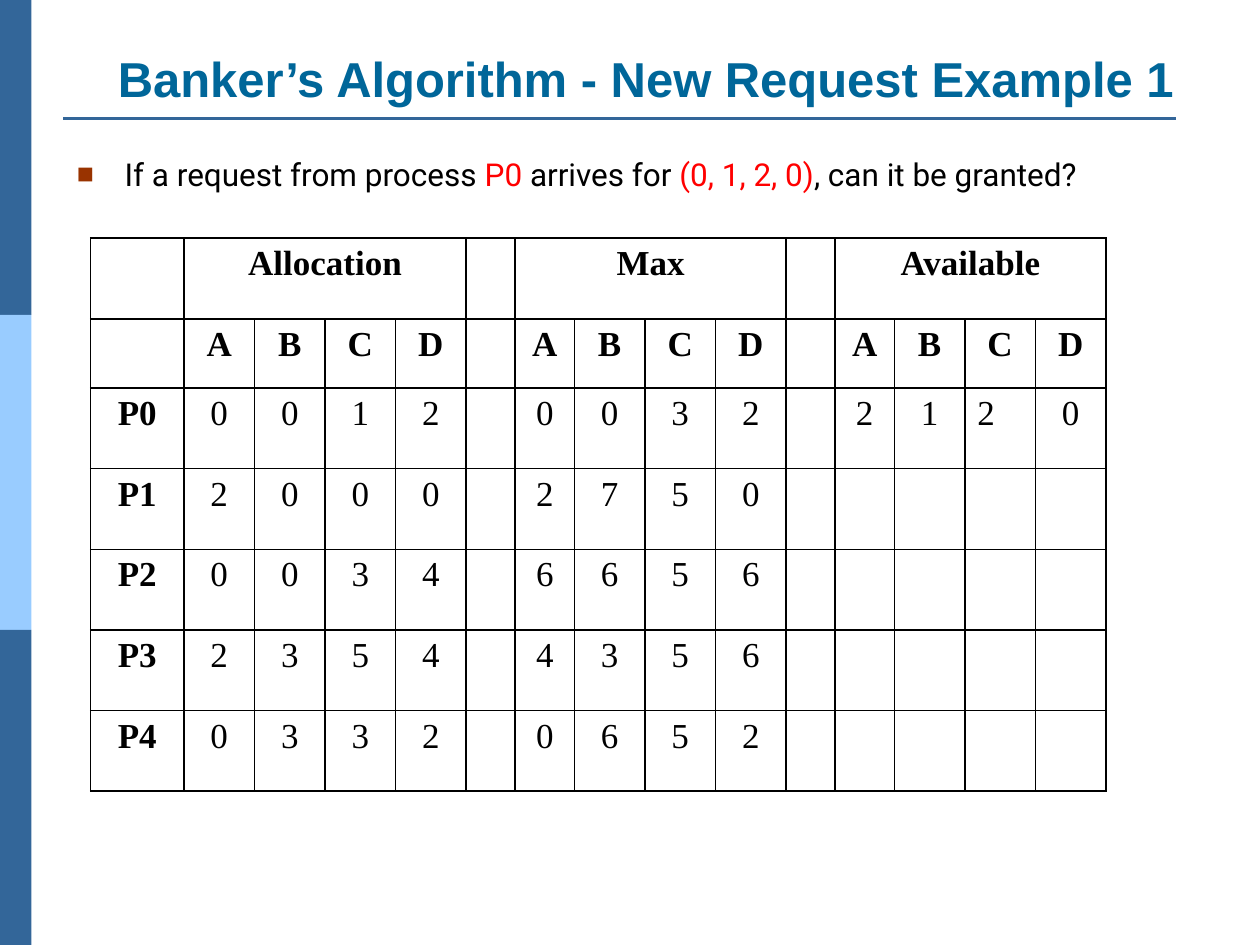
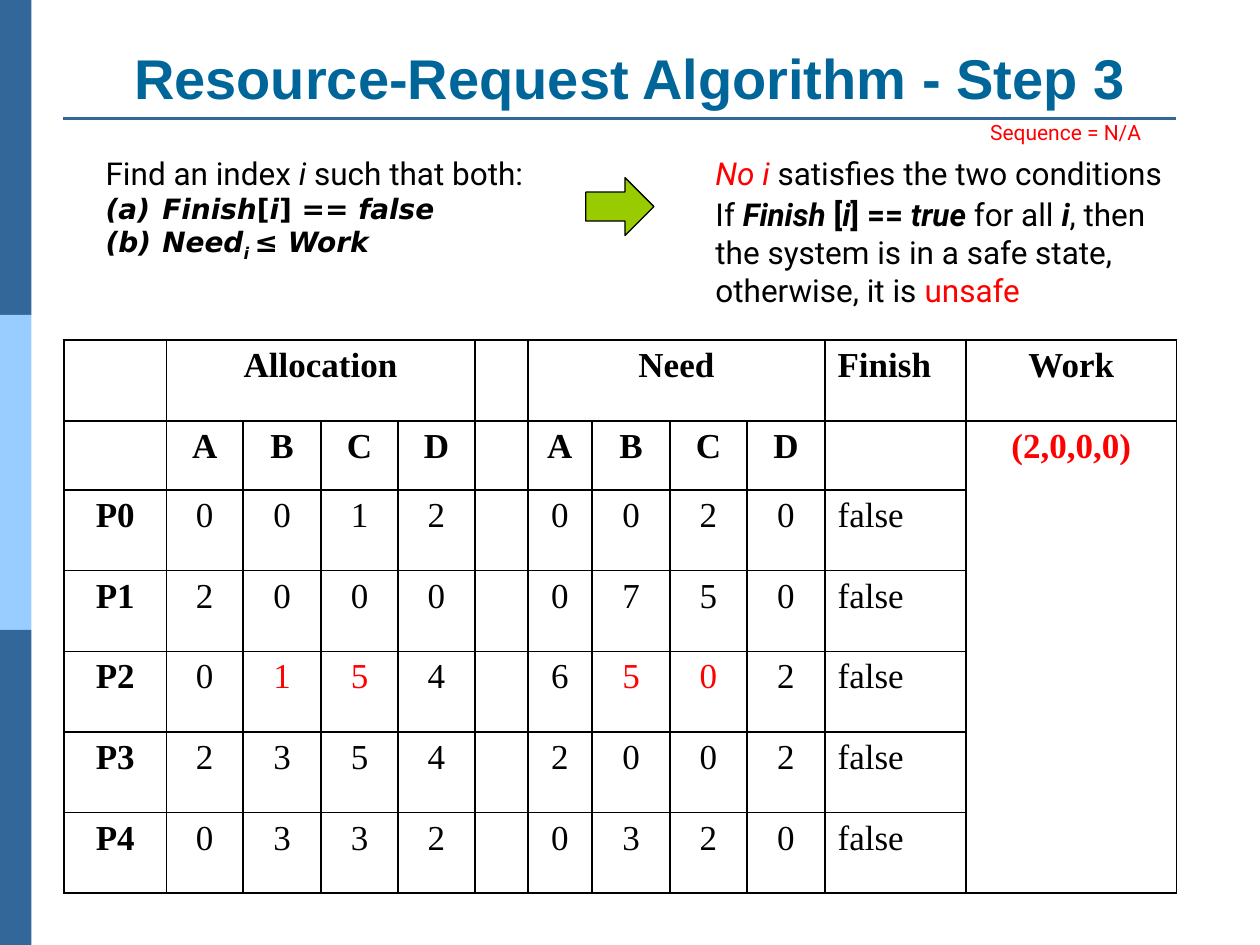
from lxml import etree
from pptx import Presentation
from pptx.dml.color import RGBColor
from pptx.enum.shapes import MSO_CONNECTOR, MSO_SHAPE
from pptx.enum.text import MSO_ANCHOR, MSO_AUTO_SIZE, PP_ALIGN
from pptx.oxml.ns import qn
from pptx.util import Inches, Pt

STRAIGHT = MSO_CONNECTOR.STRAIGHT
RECTANGLE, RIGHT_ARROW = MSO_SHAPE.RECTANGLE, MSO_SHAPE.RIGHT_ARROW
TOP, BOTTOM = MSO_ANCHOR.TOP, MSO_ANCHOR.BOTTOM
NO_AUTOFIT = MSO_AUTO_SIZE.NONE
LEFT, CENTER = PP_ALIGN.LEFT, PP_ALIGN.CENTER

BLACK = RGBColor(0, 0, 0)
RED = RGBColor(0xFF, 0, 0)
STEEL_BLUE = RGBColor(0x33, 0x66, 0x99)
SKY_BLUE = RGBColor(0x99, 0xCC, 0xFF)
TITLE_BLUE = RGBColor(0, 0x66, 0x99)
ARROW_GREEN = RGBColor(0x99, 0xCC, 0)
BULLET_BROWN = "993300"

TITLE_FONT = dict(name="Arial", bold=True, color=TITLE_BLUE)
BODY_FONT = dict(name="Roboto", size=Pt(18), color=BLACK)
CONDITION_FONT = dict(name="DejaVu Sans", size=Pt(16), bold=True, color=BLACK)
NOTE_FONT = dict(name="Roboto", size=Pt(12), color=RED)
CELL_FONT = dict(name="Times New Roman", size=Pt(20), color=BLACK)
ITALIC = dict(italic=True)
BOLD = dict(bold=True)
BOLD_ITALIC = dict(bold=True, italic=True)
IN_RED = dict(color=RED)
SUBSCRIPT = dict(italic=True, baseline="-25000")

BAND_WIDTH, BAND_HEIGHT = 0.25, 2.5
ROW_HEIGHTS = [0.64, 0.55] + [0.64] * 5
RESOURCES = list("ABCD")
UNKNOWN = [""] * 4


def inches(values):
    return [Inches(value) for value in values]


def add_run(paragraph, text, *formats):
    """Add text whose later format dicts override the earlier ones."""
    values = {}
    for format_values in formats:
        values.update(format_values)
    run = paragraph.add_run()
    run.text = text
    for key, value in values.items():
        if key == "color":
            run.font.color.rgb = value
        elif key == "baseline":
            run._r.get_or_add_rPr().set(key, value)
        else:
            setattr(run.font, key, value)


def fill_paragraph(paragraph, runs, base):
    for text, *formats in runs:
        add_run(paragraph, text, base, *formats)


def add_bullet(paragraph, indent, *marks):
    """Hang the paragraph and append bullet elements, given as (tag, attributes)."""
    properties = paragraph._p.get_or_add_pPr()
    properties.set("marL", str(Inches(indent)))
    properties.set("indent", str(-Inches(indent)))
    for tag, attributes in marks:
        etree.SubElement(properties, qn(tag), attributes)
    return properties


def place(shape, at):
    shape.left, shape.top, shape.width, shape.height = inches(at)


def add_side_bands(slide):
    for index, color in enumerate([STEEL_BLUE, SKY_BLUE, STEEL_BLUE]):
        band = slide.shapes.add_shape(
            RECTANGLE, *inches([0, index * BAND_HEIGHT, BAND_WIDTH, BAND_HEIGHT]))
        band.shadow.inherit = False
        band.fill.solid()
        band.fill.fore_color.rgb = color
        band.line.fill.background()


def add_title_rule(slide):
    rule = slide.shapes.add_connector(STRAIGHT, *inches([0.5, 0.94, 9.33, 0.94]))
    rule.line.color.rgb = STEEL_BLUE
    rule.line.width = Pt(1.5)
    etree.SubElement(rule._element.spPr, qn("a:effectLst"))


def add_titled_slide(deck, layout, title, at, size):
    slide = deck.slides.add_slide(deck.slide_layouts.get_by_name(layout))
    add_side_bands(slide)
    add_title_rule(slide)
    heading = slide.shapes.title
    place(heading, at)
    frame = heading.text_frame
    frame.auto_size = NO_AUTOFIT
    frame.vertical_anchor = BOTTOM
    frame.paragraphs[0].alignment = CENTER
    add_run(frame.paragraphs[0], title, TITLE_FONT, dict(size=Pt(size)))
    return slide


def add_text(slide, at, runs, base=BODY_FONT, wrap=True):
    frame = slide.shapes.add_textbox(*inches(at)).text_frame
    frame.word_wrap = wrap
    fill_paragraph(frame.paragraphs[0], runs, base)
    return frame


def fill_question(slide, at, runs):
    question = slide.placeholders[1]
    place(question, at)
    frame = question.text_frame
    frame.auto_size = NO_AUTOFIT
    frame.vertical_anchor = TOP
    paragraph = frame.paragraphs[0]
    paragraph.space_before = Pt(0)
    properties = add_bullet(paragraph, 0.38, ("a:buClr", {}),
                            ("a:buSzPct", dict(val="90000")),
                            ("a:buChar", dict(char="■")))
    etree.SubElement(properties.find(qn("a:buClr")), qn("a:srgbClr"), val=BULLET_BROWN)
    fill_paragraph(paragraph, runs, BODY_FONT)


def add_conditions(frame, conditions):
    for runs in conditions:
        paragraph = frame.add_paragraph()
        add_bullet(paragraph, 0.45, ("a:buFont", dict(typeface="+mj-lt")),
                   ("a:buAutoNum", dict(type="alphaLcParenBoth")))
        fill_paragraph(paragraph, runs, CONDITION_FONT)


def draw_borders(cell):
    properties = cell._tc.get_or_add_tcPr()
    for side in ("a:lnL", "a:lnR", "a:lnT", "a:lnB"):
        border = etree.SubElement(properties, qn(side), w=str(Pt(1)))
        solid = etree.SubElement(border, qn("a:solidFill"))
        etree.SubElement(solid, qn("a:srgbClr"), val=str(BLACK))


def add_state_table(slide, left, top, widths, rows, merges, left_cells=(), red_cells=()):
    """Draw the process state; merges are (row, column, last row, last column)."""
    frame = slide.shapes.add_table(
        len(rows), len(widths),
        *inches([left, top, sum(widths), sum(ROW_HEIGHTS)]))
    table = frame.table
    table.first_row = table.horz_banding = False
    for column, width in zip(table.columns, widths):
        column.width = Inches(width)
    for row, height in zip(table.rows, ROW_HEIGHTS):
        row.height = Inches(height)
    for r, values in enumerate(rows):
        for c, value in enumerate(values):
            cell = table.cell(r, c)
            draw_borders(cell)
            cell.fill.background()
            if not value:
                continue
            paragraph = cell.text_frame.paragraphs[0]
            paragraph.alignment = LEFT if (r, c) in left_cells else CENTER
            add_run(paragraph, value, CELL_FONT, dict(bold=r < 2 or c == 0),
                    IN_RED if (r, c) in red_cells else {})
    for r, c, last_r, last_c in merges:
        table.cell(r, c).merge(table.cell(last_r, last_c))


def add_step_arrow(slide, at):
    arrow = slide.shapes.add_shape(RIGHT_ARROW, *inches(at))
    arrow.shadow.inherit = False
    arrow.fill.solid()
    arrow.fill.fore_color.rgb = ARROW_GREEN
    arrow.line.color.rgb = BLACK
    arrow.line.width = Pt(0.75)


def build_request_slide(deck):
    slide = add_titled_slide(deck, "Title and Content",
                             "Banker’s Algorithm - New Request Example 1",
                             [0.51, 0.17, 9.23, 0.73], 28)
    fill_question(slide, [0.51, 1.18, 9.44, 0.5], [
        ("If a request from process ",), ("P0 ", IN_RED), ("arrives for ",),
        ("(0, 1, 2, 0)", IN_RED), (", can it be granted?",)])
    quad = [0.47] + [0.56] * 3
    rows = [
        ["", "Allocation", "", "", "", "", "Max", "", "", "", "", "Available", "", "", ""],
        ["", *RESOURCES, "", *RESOURCES, "", *RESOURCES],
        ["P0", *"0012", "", *"0032", "", *"2120"],
        ["P1", *"2000", "", *"2750", "", *UNKNOWN],
        ["P2", *"0034", "", *"6656", "", *UNKNOWN],
        ["P3", *"2354", "", *"4356", "", *UNKNOWN],
        ["P4", *"0332", "", *"0652", "", *UNKNOWN],
    ]
    add_state_table(slide, 0.72, 1.89,
                    [0.74] + [0.56] * 4 + [0.39] + quad + [0.39] + quad, rows,
                    merges=[(0, c, 0, c + 3) for c in (1, 6, 11)],
                    left_cells=[(2, 13)])


def build_step_slide(deck):
    slide = add_titled_slide(deck, "Title Only", "Resource-Request Algorithm - Step 3",
                             [0.5, 0.3, 9, 0.63], 32)
    rows = [
        ["", "Allocation", "", "", "", "", "Need", "", "", "", "Finish", "Work"],
        ["", *RESOURCES, "", *RESOURCES, "", "(2,0,0,0)"],
        ["P0", *"0012", "", *"0020", "false", ""],
        ["P1", *"2000", "", *"0750", "false", ""],
        ["P2", *"0154", "", *"6502", "false", ""],
        ["P3", *"2354", "", *"2002", "false", ""],
        ["P4", *"0332", "", *"0320", "false", ""],
    ]
    add_state_table(slide, 0.51, 2.7,
                    [0.81, 0.61, 0.62, 0.61, 0.61, 0.42, 0.51, 0.62, 0.61, 0.62, 1.12, 1.67],
                    rows, merges=[(0, 1, 0, 4), (0, 6, 0, 9), (1, 11, 6, 11)],
                    left_cells=[(r, 10) for r in range(len(rows))],
                    red_cells=[(1, 11)] + [(4, c) for c in (2, 3, 7, 8)])
    add_text(slide, [7.76, 0.9, 1.43, 0.3], [("Sequence = N/A",)], NOTE_FONT, wrap=False)
    search = add_text(slide, [0.74, 1.17, 5, 0.94], [
        ("Find an index ",), ("i ", ITALIC), ("such that both:",)])
    add_conditions(search, [
        [("Finish", ITALIC), ("[",), ("i", ITALIC), ("] == ",), ("false", ITALIC)],
        [("Need", ITALIC), ("i ", SUBSCRIPT), ("≤ ",), ("Work", ITALIC)],
    ])
    add_step_arrow(slide, [4.65, 1.41, 0.54, 0.46])
    add_text(slide, [5.58, 1.17, 3.91, 0.4], [
        ("No i ", ITALIC, IN_RED), ("satisfies the two conditions",)])
    add_text(slide, [5.58, 1.5, 3.75, 1.01], [
        ("If ",), ("Finish", BOLD_ITALIC), (" [", BOLD), ("i", BOLD_ITALIC),
        ("] == ", BOLD), ("true ", BOLD_ITALIC), ("for all ",), ("i", BOLD_ITALIC),
        (", then the system is in a safe state, otherwise, it is ",),
        ("unsafe", IN_RED)])


def main():
    deck = Presentation()
    deck.slide_width, deck.slide_height = inches([10, 7.5])
    build_request_slide(deck)
    build_step_slide(deck)
    deck.save("out.pptx")


if __name__ == "__main__":
    main()
